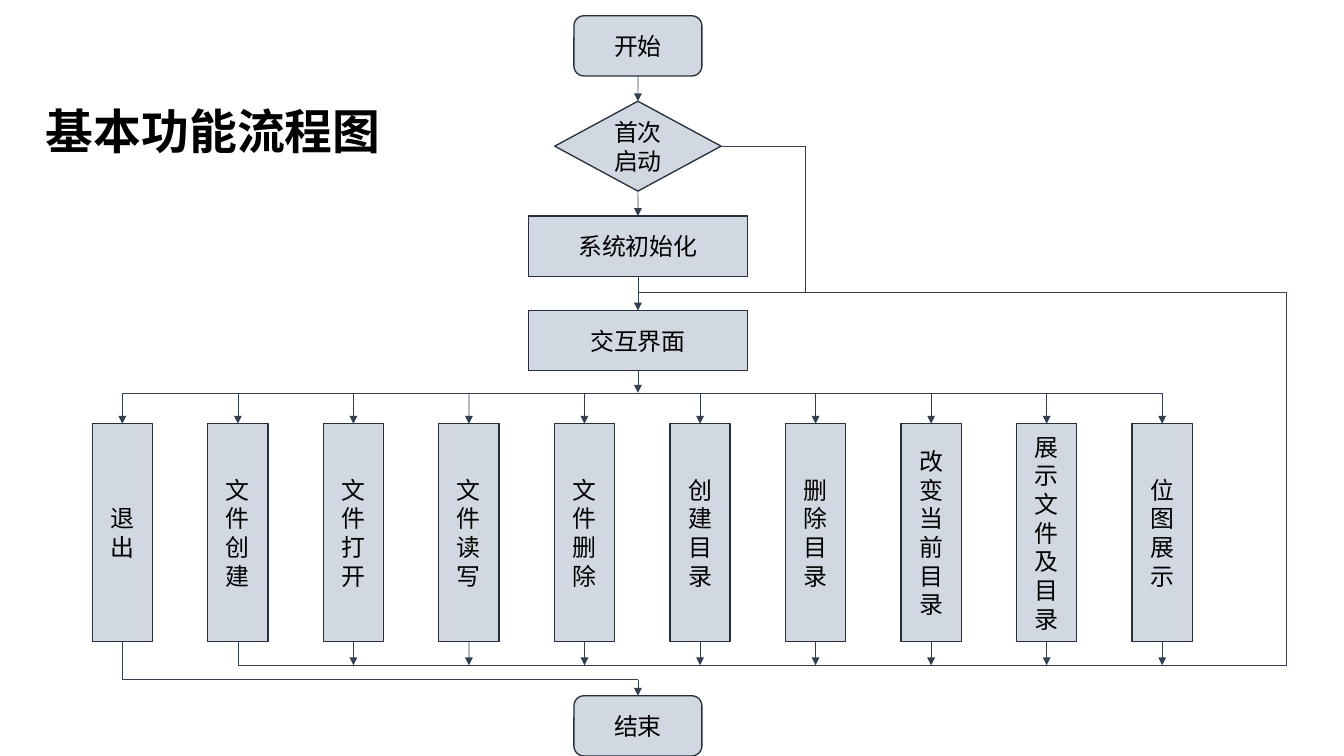
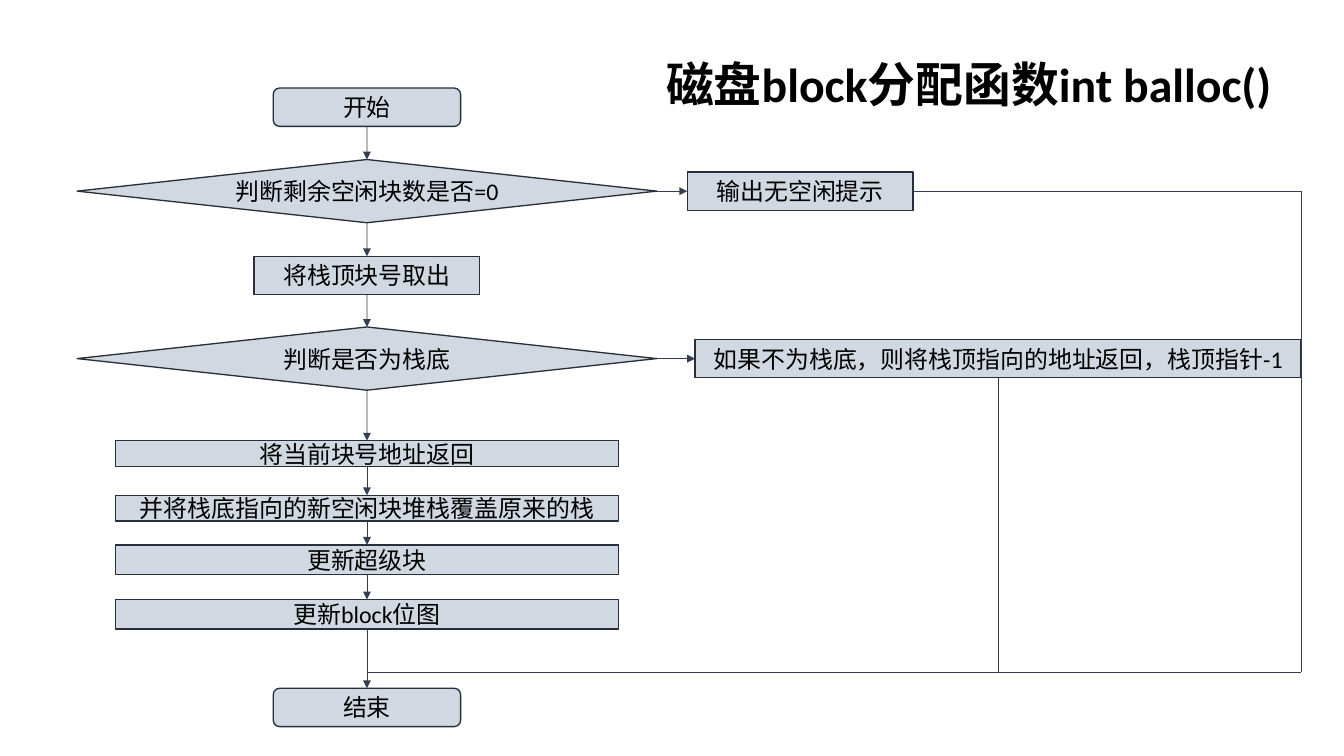
from dataclasses import dataclass
from itertools import pairwise
from typing import NamedTuple

from lxml import etree
from pptx import Presentation
from pptx import slide as sl
from pptx import util as u
from pptx.dml import color
from pptx.enum import shapes, text
from pptx.oxml import ns
from pptx.shapes import autoshape

# Shared style
COLORS = {"fill": "D1D8E1", "outline": "262F3B", "arrow": "333F50", "ink": "000000"}
FONT = "Calibri"
TITLE_SIZE, BODY_SIZE = 36, 18
ROUNDED = shapes.MSO_SHAPE.FLOWCHART_ALTERNATE_PROCESS
DECISION = shapes.MSO_SHAPE.FLOWCHART_DECISION
PROCESS = shapes.MSO_SHAPE.FLOWCHART_PROCESS
RECTANGLE = shapes.MSO_SHAPE.RECTANGLE
TOP, LEFT, BOTTOM, RIGHT = range(4)


@dataclass(frozen=True)
class Node:
    """A flowchart box, placed by its horizontal centre and its top, in cm."""
    label: str
    center: float
    top: float
    width: float
    height: float
    kind: shapes.MSO_SHAPE
    stacked: bool = False  # one character per line


class Point(NamedTuple):
    x: float
    y: float


class Side(NamedTuple):
    """The middle of one side of a drawn box."""
    box: autoshape.Shape
    site: int

    def point(self) -> Point:
        box = self.box
        across = {LEFT: 0, RIGHT: 1}.get(self.site, 0.5)
        down = {TOP: 0, BOTTOM: 1}.get(self.site, 0.5)
        return Point(u.Emu(int(box.left + box.width * across)).cm,
                     u.Emu(int(box.top + box.height * down)).cm)


Stop = Point | Side


def rgb(name: str) -> color.RGBColor:
    return color.RGBColor.from_string(COLORS[name])


def add_span(para: text, words: str, size: int, bold: bool = False) -> None:
    span = para.add_run()
    span.text = words
    span.font.name = FONT
    span.font.size = u.Pt(size)
    span.font.bold = bold
    span.font.color.rgb = rgb("ink")


def add_title(page: sl.Slide, words: str, left: float, top: float,
              width: float, wrap: bool) -> None:
    box = page.shapes.add_textbox(u.Cm(left), u.Cm(top), u.Cm(width), u.Cm(1.8))
    box.text_frame.word_wrap = wrap
    box.text_frame.auto_size = text.MSO_AUTO_SIZE.SHAPE_TO_FIT_TEXT
    add_span(box.text_frame.paragraphs[0], words, TITLE_SIZE, bold=True)


def add_node(page: sl.Slide, node: Node) -> autoshape.Shape:
    box = page.shapes.add_shape(
        node.kind, u.Cm(node.center - node.width / 2), u.Cm(node.top),
        u.Cm(node.width), u.Cm(node.height))
    box.shadow.inherit = False
    box.fill.solid()
    box.fill.fore_color.rgb = rgb("fill")
    box.line.color.rgb = rgb("outline")
    box.line.width = u.Pt(1)
    frame = box.text_frame
    frame.word_wrap = True
    frame.vertical_anchor = text.MSO_ANCHOR.MIDDLE
    lines = list(node.label) if node.stacked else [node.label]
    for index, words in enumerate(lines):
        para = frame.add_paragraph() if index else frame.paragraphs[0]
        para.alignment = text.PP_ALIGN.CENTER
        add_span(para, words, BODY_SIZE)
    return box


def add_line(page: sl.Slide, start: Stop, end: Stop, arrow: bool) -> None:
    first, last = (stop.point() if isinstance(stop, Side) else stop
                   for stop in (start, end))
    line = page.shapes.add_connector(
        shapes.MSO_CONNECTOR.STRAIGHT,
        u.Cm(first.x), u.Cm(first.y), u.Cm(last.x), u.Cm(last.y))
    if isinstance(start, Side):
        line.begin_connect(start.box, start.site)
    if isinstance(end, Side):
        line.end_connect(end.box, end.site)
    line.line.color.rgb = rgb("arrow")
    line.line.width = u.Pt(0.5)
    properties = line.element.spPr
    if arrow:
        outline = properties.find(ns.qn("a:ln"))
        etree.SubElement(outline, ns.qn("a:tailEnd"), type="triangle")
    etree.SubElement(properties, ns.qn("a:effectLst"))


def add_route(page: sl.Slide, *stops: Stop, arrow: bool = False) -> None:
    """Draw straight lines through the stops, with an arrowhead at the last."""
    for start, end in pairwise(stops):
        add_line(page, start, end, arrow and end is stops[-1])


def add_chain(page: sl.Slide, boxes: list[autoshape.Shape]) -> None:
    for upper, lower in pairwise(boxes):
        add_route(page, Side(upper, BOTTOM), Side(lower, TOP), arrow=True)


def build_overview(page: sl.Slide) -> None:
    axis = 16.95
    merge_y, menu_y, return_y, exit_y = 7.77, 10.44, 17.68, 18.06
    bypass_x, return_x = 21.39, 34.19
    first_center, pitch = 3.25, 3.07
    commands = ["退出", "文件创建", "文件打开", "文件读写", "文件删除",
                "创建目录", "删除目录", "改变当前目录", "展示文件及目录", "位图展示"]
    centers = [first_center + pitch * index for index in range(len(commands))]

    # Boxes
    main = [add_node(page, node) for node in (
        Node("开始", axis, 0.42, 3.4, 1.6, ROUNDED),
        Node("首次启动", axis, 2.69, 4.42, 2.39, DECISION),
        Node("系统初始化", axis, 5.74, 5.82, 1.6, PROCESS),
        Node("交互界面", axis, 8.25, 5.82, 1.6, PROCESS))]
    columns = [add_node(page, Node(label, center, 11.26, 1.6, 5.79, PROCESS, True))
               for label, center in zip(commands, centers)]
    finish = add_node(page, Node("结束", axis, 18.49, 3.4, 1.6, ROUNDED))

    # Main flow and the bypass of the set-up step
    add_chain(page, main)
    merge = Point(axis, merge_y)
    decision, menu = main[1], main[-1]
    decision_y = Side(decision, RIGHT).point().y
    add_route(page, Side(decision, RIGHT), Point(bypass_x, decision_y),
              Point(bypass_x, merge_y), merge)

    # Menu branches
    add_route(page, Side(menu, BOTTOM), Point(axis, menu_y), arrow=True)
    add_route(page, Point(centers[0], menu_y), Point(centers[-1], menu_y))
    for column, center in zip(columns, centers):
        add_route(page, Point(center, menu_y), Side(column, TOP), arrow=True)

    # Return loop and exit
    leave, create, *others = columns
    add_route(page, Side(create, BOTTOM), Point(centers[1], return_y),
              Point(return_x, return_y), Point(return_x, merge_y), merge)
    for column, center in zip(others, centers[2:]):
        add_route(page, Side(column, BOTTOM), Point(center, return_y), arrow=True)
    add_route(page, Side(leave, BOTTOM), Point(centers[0], exit_y),
              Point(axis, exit_y), Side(finish, TOP), arrow=True)
    add_title(page, "基本功能流程图", 0.97, 2.57, 9.5, wrap=False)


def build_allocation(page: sl.Slide) -> None:
    axis, rail_x, merge_y = 9.75, 34.57, 17.86
    add_title(page, "磁盘block分配函数int balloc()", 17.45, 1.32, 18.49, wrap=True)

    # Boxes
    main = [add_node(page, node) for node in (
        Node("开始", axis, 2.34, 4.98, 1.02, ROUNDED),
        Node("判断剩余空闲块数是否=0", axis, 4.24, 15.4, 1.68, DECISION),
        Node("将栈顶块号取出", axis, 6.81, 6, 1.02, RECTANGLE),
        Node("判断是否为栈底", axis, 8.69, 15.4, 1.68, DECISION),
        Node("将当前块号地址返回", axis, 11.71, 13.36, 0.69, RECTANGLE),
        Node("并将栈底指向的新空闲块堆栈覆盖原来的栈", axis, 13.16, 13.36, 0.69, RECTANGLE),
        Node("更新超级块", axis, 14.48, 13.36, 0.79, RECTANGLE),
        Node("更新block位图", axis, 15.93, 13.36, 0.79, RECTANGLE),
        Node("结束", axis, 18.29, 4.98, 1.02, ROUNDED))]
    no_space = add_node(page, Node("输出无空闲提示", 21.26, 4.57, 6, 1.02, RECTANGLE))
    not_bottom = add_node(page, Node(
        "如果不为栈底，则将栈顶指向的地址返回，栈顶指针-1",
        26.52, 9.02, 16.1, 1.02, RECTANGLE))

    # Main flow and side branches
    add_chain(page, main)
    for decision, branch in ((main[1], no_space), (main[3], not_bottom)):
        add_route(page, Side(decision, RIGHT), Side(branch, LEFT), arrow=True)

    # Way back to the end
    add_route(page, Side(no_space, RIGHT),
              Point(rail_x, Side(no_space, RIGHT).point().y),
              Point(rail_x, merge_y), Point(axis, merge_y))
    add_route(page, Side(not_bottom, BOTTOM),
              Point(Side(not_bottom, BOTTOM).point().x, merge_y))


def main() -> None:
    deck = Presentation()
    deck.slide_width, deck.slide_height = u.Cm(35.71), u.Cm(20.09)
    blank = deck.slide_layouts[6]
    for build in (build_overview, build_allocation):
        build(deck.slides.add_slide(blank))
    deck.save("out.pptx")


if __name__ == "__main__":
    main()
